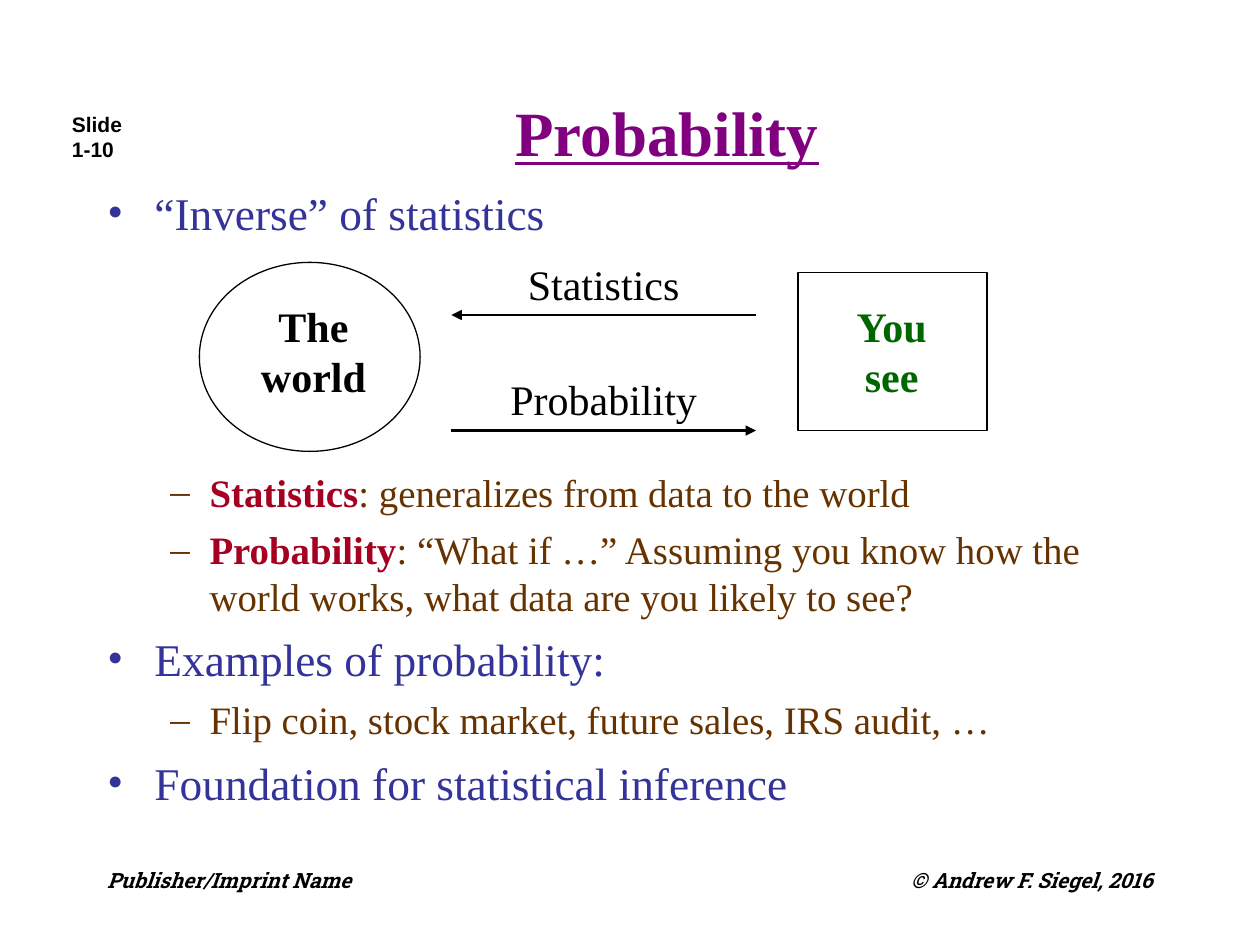
import pptx
import pptx.dml.color
import pptx.enum.shapes
import pptx.enum.text
import pptx.oxml
import pptx.oxml.ns
import pptx.util
from pptx.util import Cm, Pt

ALIGN = pptx.enum.text.PP_ALIGN
ANCHOR = pptx.enum.text.MSO_ANCHOR
SHAPE = pptx.enum.shapes.MSO_SHAPE

BLACK, PURPLE, BLUE = "000000", "800080", "333399"
BROWN, RED, GREEN = "663300", "A50021", "006600"
SERIF, SANS, SLAB = "Times New Roman", "Arial", "Roboto Slab"

# Per list level: bullet, colour, size, space before, text indent, hanging indent
LEVELS = [
    ("•", BLUE, 25.9, 7, 0.95, 0.95),
    ("–", BROWN, 22.2, 6, 2.06, 0.79),
]
DIAGRAM_GAP = 131  # points left free in the list for the diagram

# Level, bold lead-in, text, space before when it differs from the level's own
POINTS = [
    (0, "", "“Inverse” of statistics", None),
    (1, "Statistics", ": generalizes from data to the world", DIAGRAM_GAP),
    (1, "Probability", ": “What if …” Assuming you know how the world works, "
                       "what data are you likely to see?", None),
    (0, "", "Examples of probability:", None),
    (1, "", "Flip coin, stock market, future sales, IRS audit, …", None),
    (0, "", "Foundation for statistical inference", None),
]


def color(value):
    return pptx.dml.color.RGBColor.from_string(value)


def add_xml(parent, tag, children="", **attributes):
    """Append one DrawingML element to parent."""
    listed = "".join(f' {key}="{value}"' for key, value in attributes.items())
    namespace = pptx.oxml.ns.nsdecls("a")
    parent.append(pptx.oxml.parse_xml(
        f"<a:{tag} {namespace}{listed}>{children}</a:{tag}>"))


class Slide:
    def __init__(self, page):
        self.page = page
        self.style = {"name": SERIF, "size": Pt(24), "bold": False}

    def span(self, para, text, ink, **changes):
        span = para.add_run()
        span.text = text
        for name, value in {**self.style, **changes}.items():
            setattr(span.font, name, value)
        span.font.color.rgb = color(ink)

    def place(self, box, left, top, width, height):
        for name, value in zip(("left", "top", "width", "height"),
                               (left, top, width, height)):
            setattr(box, name, Cm(value))

    def title(self, text, *area):
        box = self.page.shapes.title
        self.place(box, *area)
        box.text_frame.vertical_anchor = ANCHOR.MIDDLE
        box.text_frame.auto_size = pptx.enum.text.MSO_AUTO_SIZE.NONE
        para = box.text_frame.paragraphs[0]
        para.alignment = ALIGN.CENTER
        self.span(para, text, PURPLE, size=Pt(36), bold=True, underline=True)

    def bullets(self, points, *area):
        box = self.page.placeholders[1]
        self.place(box, *area)
        frame = box.text_frame
        frame.auto_size = pptx.enum.text.MSO_AUTO_SIZE.NONE
        for index, (level, lead, text, gap) in enumerate(points):
            mark, ink, size, before, indent, hanging = LEVELS[level]
            para = frame.add_paragraph() if index else frame.paragraphs[0]
            para.level = level
            para.space_before = Pt(gap or before)
            properties = para._p.get_or_add_pPr()
            properties.set("marL", str(Cm(indent)))
            properties.set("indent", str(-Cm(hanging)))
            add_xml(properties, "buClr", f'<a:srgbClr val="{ink}"/>')
            add_xml(properties, "buFont", typeface=SERIF)
            add_xml(properties, "buChar", char=mark)
            if lead:
                self.span(para, lead, RED, size=Pt(size), bold=True)
            self.span(para, text, ink, size=Pt(size))

    def text(self, lines, *area, align=ALIGN.CENTER, ink=BLACK, wrap=True,
             **changes):
        box = self.page.shapes.add_textbox(*map(Cm, area))
        frame = box.text_frame
        frame.word_wrap = wrap
        for index, line in enumerate(lines):
            para = frame.add_paragraph() if index else frame.paragraphs[0]
            para.alignment = align
            self.span(para, line, ink, **changes)

    def outline(self, kind, *area):
        shape = self.page.shapes.add_shape(kind, *map(Cm, area))
        shape.shadow.inherit = False
        shape.fill.background()
        shape.line.color.rgb = color(BLACK)
        shape.line.width = Pt(0.75)

    def arrow(self, start, end, height):
        arrow = self.page.shapes.add_connector(
            pptx.enum.shapes.MSO_CONNECTOR.STRAIGHT,
            Cm(start), Cm(height), Cm(end), Cm(height))
        arrow.line.color.rgb = color(BLACK)
        arrow.line.width = Pt(1.5)
        add_xml(arrow.line._get_or_add_ln(), "tailEnd", type="triangle")
        add_xml(arrow._element.spPr, "effectLst")


def main():
    deck = pptx.Presentation()
    deck.slide_width, deck.slide_height = Cm(25.4), Cm(19.05)
    slide = Slide(deck.slides.add_slide(deck.slide_layouts[1]))

    slide.text(["Slide", "1-10"], 1.2, 2.12, 2.92, 1.27, align=ALIGN.LEFT,
               wrap=False, name=SANS, size=Pt(12), bold=True)
    slide.title("Probability", 3.39, 1.69, 20.11, 1.91)
    slide.bullets(POINTS, 1.91, 3.6, 21.59, 13.34)

    slide.outline(SHAPE.OVAL, 4.02, 5.29, 4.45, 3.81)
    slide.text(["The", "world"], 5.01, 5.93, 2.62, 2.29, wrap=False, bold=True)
    slide.outline(SHAPE.RECTANGLE, 16.09, 5.5, 3.81, 3.18)
    slide.text(["You", "see"], 16.97, 5.93, 2.01, 2.29, ink=GREEN, wrap=False,
               bold=True)

    world_end, data_end = 9.1, 15.24
    for label, start, end, height in (
            ("Statistics", data_end, world_end, 6.35),
            ("Probability", world_end, data_end, 8.68)):
        slide.arrow(start, end, height)
        slide.text([label], 9.31, height - 1.27, 5.72, 1.27)

    footer = {"name": SLAB, "size": Pt(12), "bold": True, "italic": True}
    slide.text(["Publisher/Imprint Name"], 1.91, 17.36, 5.93, 1.27,
               align=ALIGN.LEFT, **footer)
    slide.text(["© Andrew F. Siegel, 2016"], 14.39, 17.36, 9.1, 1.27,
               align=ALIGN.RIGHT, **footer)
    deck.save("out.pptx")


if __name__ == "__main__":
    main()
